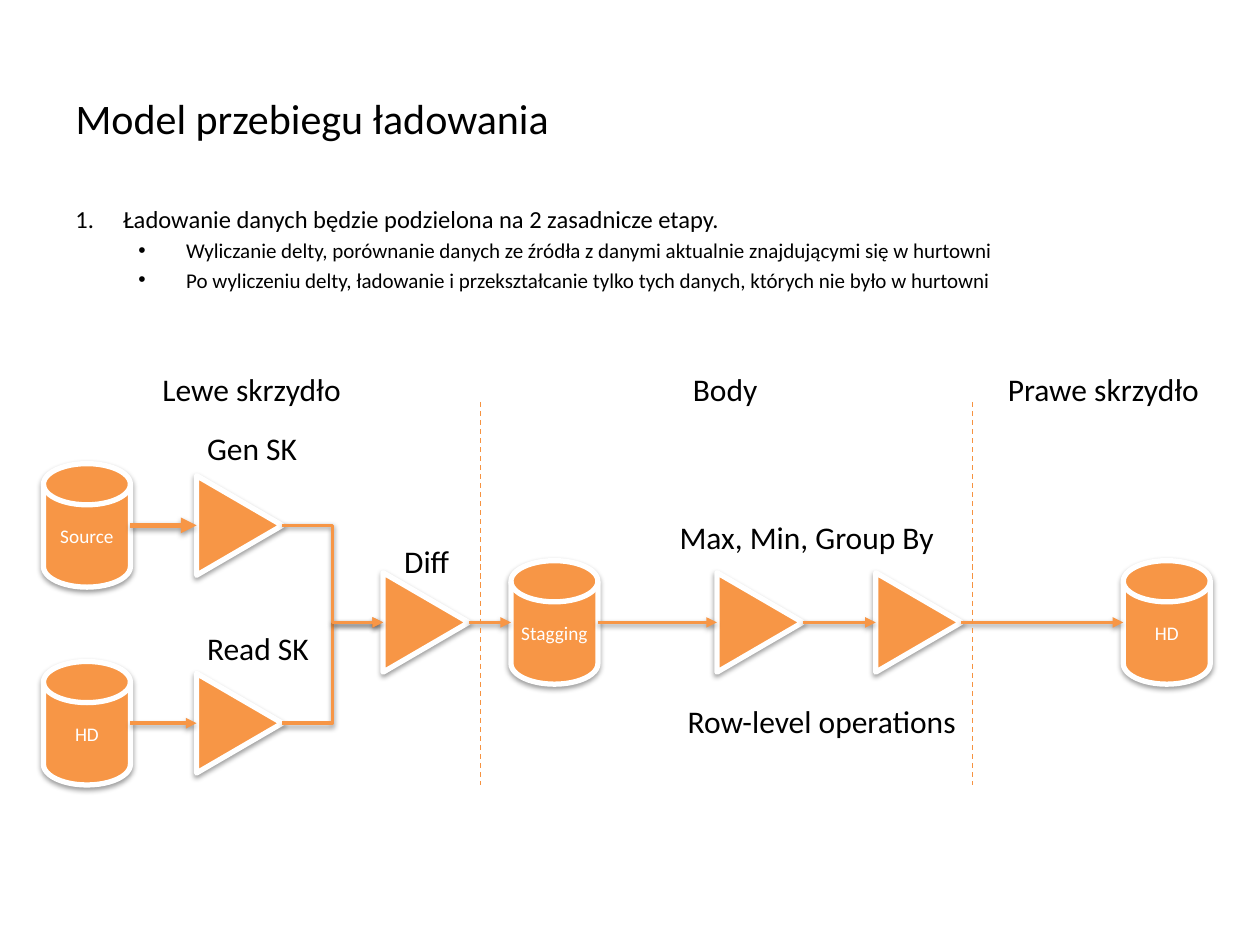
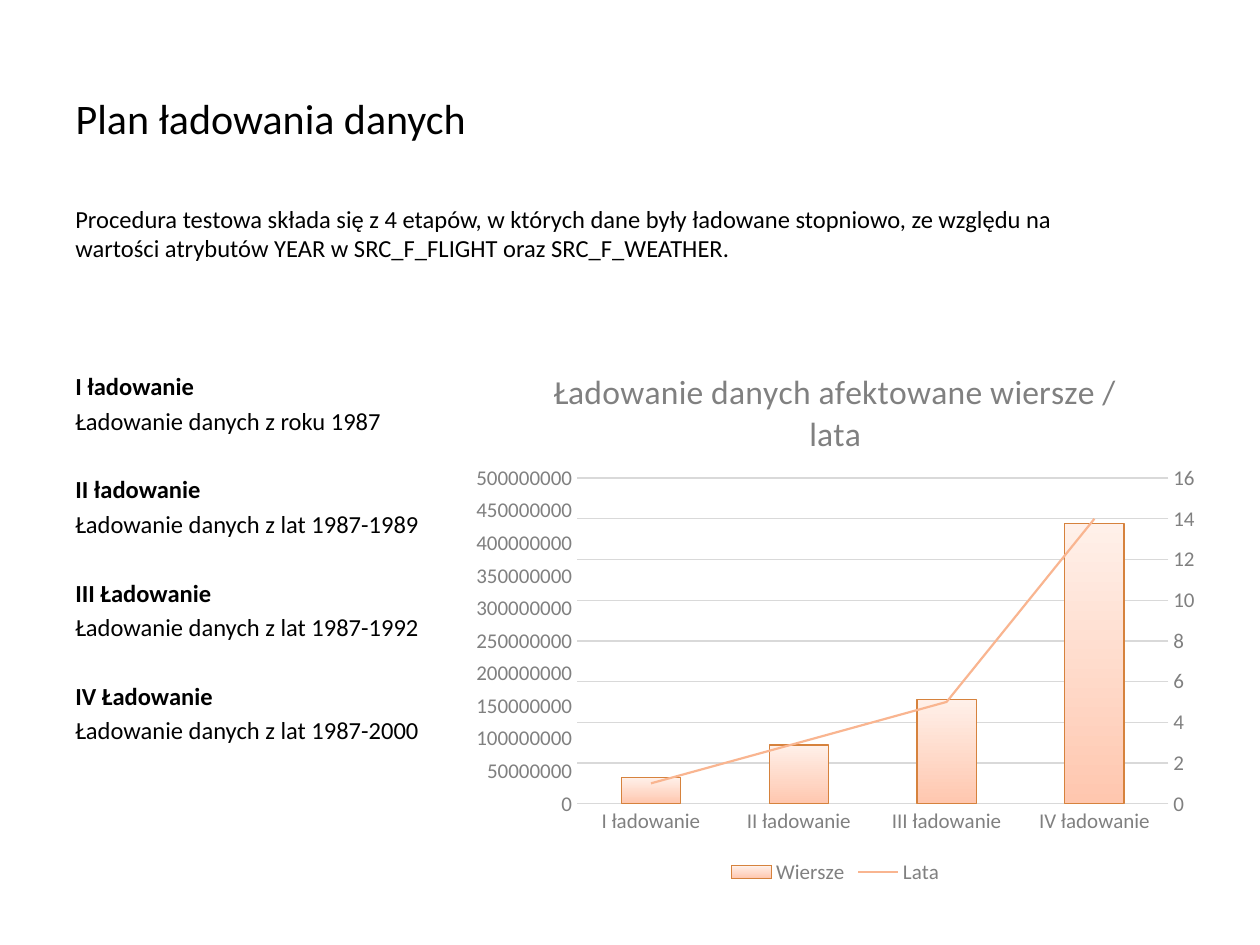
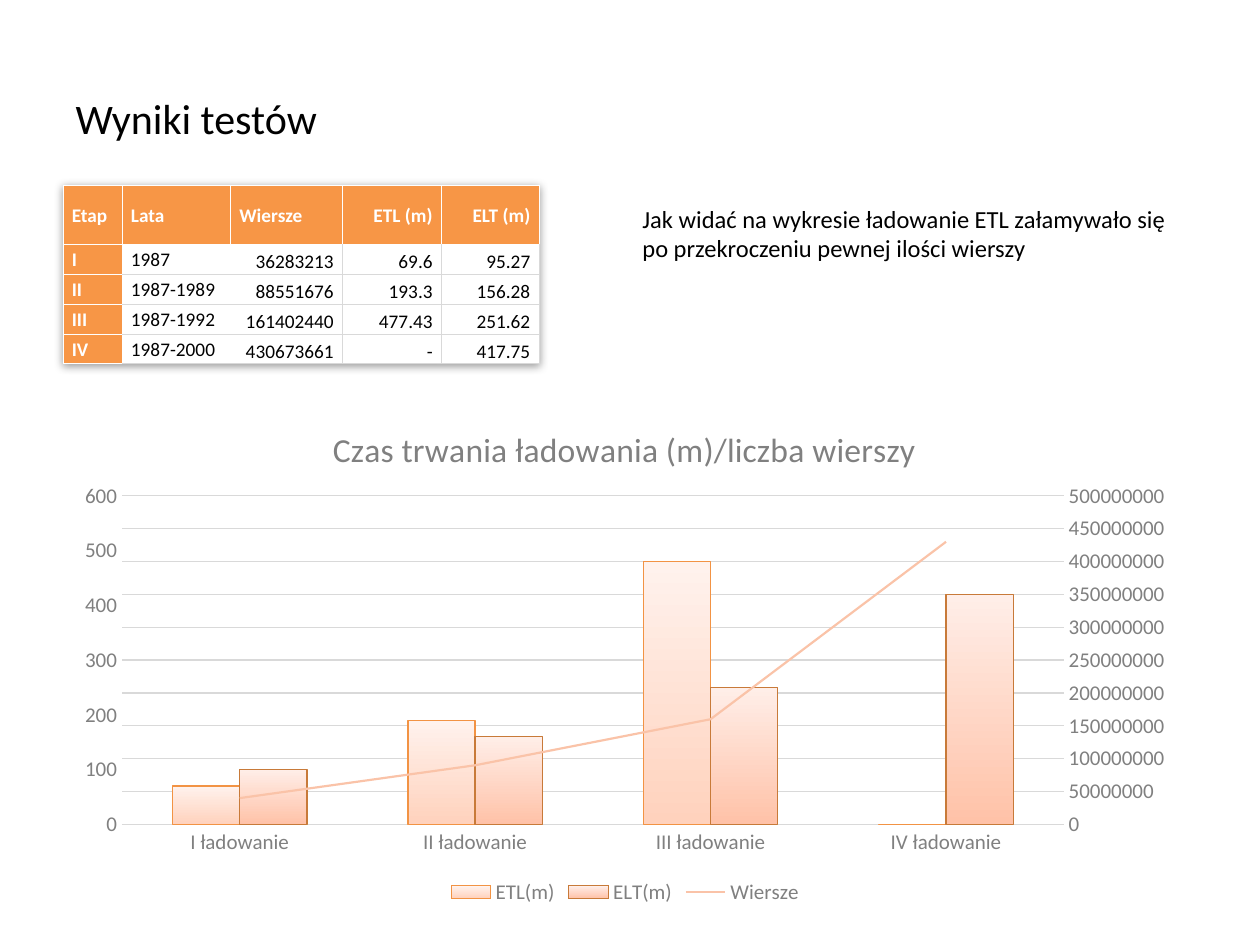
from copy import deepcopy
from dataclasses import dataclass

from pptx import Presentation
from pptx.chart.axis import CategoryAxis, ValueAxis
from pptx.chart.data import CategoryChartData
from pptx.dml.color import RGBColor
from pptx.enum.chart import XL_CHART_TYPE, XL_LEGEND_POSITION, XL_MARKER_STYLE, XL_TICK_MARK
from pptx.enum.dml import MSO_LINE
from pptx.enum.shapes import MSO_CONNECTOR, MSO_SHAPE
from pptx.enum.text import MSO_ANCHOR, PP_ALIGN
from pptx.oxml import parse_xml
from pptx.oxml.ns import nsdecls, qn
from pptx.util import Inches, Pt


@dataclass(frozen=True)
class Theme:
    font: str = "Calibri"
    ink: str = "000000"
    paper: str = "FFFFFF"
    accent: str = "F79646"
    divider: str = "F69240"
    muted: str = "808080"
    rule: str = "D9D9D9"
    title: int = 24
    chart_title: float = 19.2
    label: int = 18
    body: int = 14
    detail: int = 12
    small: int = 11
    paragraph_gap: float = 0.2


THEME = Theme()
CELL = 0.1
TITLE_BOX = (5, 3, 59.2, 12.7)
BODY_LEFT, BODY_TOP, BODY_WIDTH = 5, 15.7, 83.6
UPPER, MIDDLE, LOWER = 41.7, 49.4, 57.4
DISK_WIDTH, DISK_HEIGHT = 6.9, 9.8
STEP_DEPTH, STEP_SPAN = 6.8, 7.9

RESULTS = [
    ("I", "1987", "36283213", "69.6", "95.27"),
    ("II", "1987-1989", "88551676", "193.3", "156.28"),
    ("III", "1987-1992", "161402440", "477.43", "251.62"),
    ("IV", "1987-2000", "430673661", "-", "417.75"),
]
STAGES = [f"{result[0]} ładowanie" for result in RESULTS]
ROW_COUNTS = (40_000_000, 90_000_000, 160_000_000, 430_000_000)
YEAR_COUNTS = (1, 3, 5, 14)
ETL_MINUTES = (70, 190, 480, 0)
ELT_MINUTES = (100, 160, 250, 420)


def cells(count):
    return Inches(count * CELL)


def box(*lengths):
    return [cells(length) for length in lengths]


def rgb(code):
    return RGBColor.from_string(code)


def style_font(font, size, color, bold=False):
    font.name, font.size, font.bold = THEME.font, Pt(size), bold
    font.color.rgb = rgb(color)


def write(frame, text, size=THEME.body, color=THEME.ink, bold=False, align=PP_ALIGN.LEFT,
          before=0, spacing=None, bullet=None, level=0):
    paragraph = frame.paragraphs[0]
    if paragraph.runs:
        paragraph = frame.add_paragraph()
    paragraph.alignment, paragraph.space_before, paragraph.level = align, Pt(before), level
    if spacing:
        paragraph.line_spacing = spacing
    run = paragraph.add_run()
    run.text = text
    style_font(run.font, size, color, bold)
    if bullet:
        properties = paragraph._p.get_or_add_pPr()
        properties.set("marL", str(Inches(0.38 + level * 0.5)))
        properties.set("indent", str(-Inches(0.38)))
        for mark in ('<a:buFont %s typeface="Arial"/>', bullet):
            properties.append(parse_xml(mark % nsdecls("a")))


def titled_slide(deck, title):
    slide = deck.slides.add_slide(deck.slide_layouts[5])
    heading = slide.shapes.title
    heading.left, heading.top, heading.width, heading.height = box(*TITLE_BOX)
    heading.text_frame.vertical_anchor = MSO_ANCHOR.MIDDLE
    write(heading.text_frame, title, size=THEME.title)
    return slide


def text_area(slide, *place, wrap=True):
    frame = slide.shapes.add_textbox(*box(*place)).text_frame
    frame.word_wrap = wrap
    return frame


def label(slide, text, left, top, width):
    write(text_area(slide, left, top, width, 4, wrap=False), text, size=THEME.label)


def shadow_effect(blur=3.1, distance=1.6):
    return parse_xml(
        f'<a:effectLst {nsdecls("a")}><a:outerShdw blurRad="{Pt(blur)}" dist="{Pt(distance)}" '
        'dir="5400000" rotWithShape="0"><a:srgbClr val="000000"><a:alpha val="38000"/></a:srgbClr>'
        '</a:outerShdw></a:effectLst>')


def cast_shadow(shape):
    properties = shape._element.spPr
    for effects in properties.findall(qn("a:effectLst")):
        properties.remove(effects)
    properties.append(shadow_effect())


def node(slide, preset, center, middle, width, height, rotation=0):
    shape = slide.shapes.add_shape(
        preset, *box(center - width / 2, middle - height / 2, width, height))
    shape.rotation = rotation
    shape.shadow.inherit = False
    shape.fill.solid()
    shape.fill.fore_color.rgb = rgb(THEME.accent)
    shape.line.color.rgb = rgb(THEME.paper)
    shape.line.width = Pt(3)
    cast_shadow(shape)
    return shape


def store(slide, name, center, middle):
    frame = node(slide, MSO_SHAPE.FLOWCHART_MAGNETIC_DISK, center, middle,
                 DISK_WIDTH, DISK_HEIGHT).text_frame
    frame.margin_left = frame.margin_right = Inches(0.08)
    frame.vertical_anchor = MSO_ANCHOR.MIDDLE
    write(frame, name, size=THEME.small, color=THEME.paper, align=PP_ALIGN.CENTER)
    return center - DISK_WIDTH / 2, center + DISK_WIDTH / 2, middle


def step(slide, center, middle):
    node(slide, MSO_SHAPE.ISOSCELES_TRIANGLE, center, middle, STEP_SPAN, STEP_DEPTH, rotation=90)
    return center - STEP_DEPTH / 2, center + STEP_DEPTH / 2, middle


def flow(slide, source, target, weight=2):
    arrow = slide.shapes.add_connector(
        MSO_CONNECTOR.ELBOW, *box(source[1], source[2], target[0], target[2]))
    rule_line(arrow.line, THEME.accent, weight)
    arrow.line._get_or_add_ln().append(parse_xml(f'<a:tailEnd {nsdecls("a")} type="triangle"/>'))
    cast_shadow(arrow)


def wing_divider(slide, position):
    divider = slide.shapes.add_connector(
        MSO_CONNECTOR.STRAIGHT, *box(position, 31.9, position, 62.3))
    rule_line(divider.line, THEME.divider)
    divider.line.dash_style = MSO_LINE.DASH
    divider._element.spPr.append(parse_xml(f'<a:effectLst {nsdecls("a")}/>'))


def border(cell, side, color):
    cell._tc.get_or_add_tcPr().append(parse_xml(
        f'<a:ln{side} {nsdecls("a")} w="{Pt(0.25)}"><a:solidFill><a:srgbClr val="{color}"/>'
        f'</a:solidFill></a:ln{side}>'))


def results_table(slide):
    rows = [("Etap", "Lata", "Wiersze", "ETL (m)", "ELT (m)")] + RESULTS
    widths, heights = (4.7, 8.6, 8.9, 7.85, 7.75), (4.7, 2.37, 2.37, 2.37, 2.37)
    table = slide.shapes.add_table(
        len(rows), len(widths), *box(5, 14.7, sum(widths), sum(heights))).table
    table.horz_banding = False
    table._tbl.tblPr.insert(0, shadow_effect(blur=5, distance=1))
    for column, width in zip(table.columns, widths):
        column.width = cells(width)
    for row, height in zip(table.rows, heights):
        row.height = cells(height)
    for r, values in enumerate(rows):
        for c, value in enumerate(values):
            cell = table.cell(r, c)
            inside = r > 0 and c > 0
            numeric = c > 2 or (c == 2 and r > 0)
            cell.margin_left = cell.margin_right = Inches(0.07)
            cell.margin_top = cell.margin_bottom = 0
            cell.vertical_anchor = MSO_ANCHOR.BOTTOM if inside and c > 1 else MSO_ANCHOR.MIDDLE
            write(cell.text_frame, value, size=THEME.small, bold=not inside, spacing=1.07,
                  color=THEME.ink if inside else THEME.paper,
                  align=PP_ALIGN.RIGHT if numeric else PP_ALIGN.LEFT)
            for side, ruled in (("L", c > 2), ("R", c > 1), ("T", r > 1), ("B", True)):
                border(cell, side, THEME.rule if inside and ruled else THEME.paper)
            cell.fill.solid()
            cell.fill.fore_color.rgb = rgb(THEME.paper if inside else THEME.accent)


def scale(axis, limit, unit):
    axis.minimum_scale, axis.maximum_scale, axis.major_unit = 0, limit, unit


def rule_line(line, color, weight=0.75):
    line.color.rgb = rgb(color)
    line.width = Pt(weight)


def move_last_series_to_right_axis(chart):
    bars = chart.plots[0]._element
    category, value = chart.category_axis._element, chart.value_axis._element
    right_category, right_value = deepcopy(category), deepcopy(value)
    for axis, own, other in ((right_category, "5001", "5002"), (right_value, "5002", "5001")):
        axis.find(qn("c:axId")).set("val", own)
        axis.find(qn("c:crossAx")).set("val", other)
    right_value.find(qn("c:axPos")).set("val", "r")
    right_value.find(qn("c:crosses")).set("val", "max")
    category.addprevious(right_category)
    category.addprevious(right_value)
    CategoryAxis(category).visible = False
    line_plot = parse_xml(
        f'<c:lineChart {nsdecls("c")}><c:grouping val="standard"/><c:varyColors val="0"/>'
        '<c:marker val="1"/><c:axId val="5001"/><c:axId val="5002"/></c:lineChart>')
    series = bars.findall(qn("c:ser"))[-1]
    for flag in series.findall(qn("c:invertIfNegative")):
        series.remove(flag)
    line_plot.insert(2, series)
    bars.addnext(line_plot)
    return ValueAxis(right_value)


def place_plot(chart, percentages):
    area = chart._chartSpace.chart.plotArea
    for layout in area.findall(qn("c:layout")):
        area.remove(layout)
    sizes = "".join(f'<c:{key} val="{percentage / 100}"/>'
                    for key, percentage in zip("xywh", percentages))
    area.insert(0, parse_xml(
        f'<c:layout {nsdecls("c")}><c:manualLayout><c:layoutTarget val="inner"/>'
        f'<c:xMode val="edge"/><c:yMode val="edge"/>{sizes}</c:manualLayout></c:layout>'))


def load_chart(slide, place, title, bars, trend, left_scale, right_scale, plot_percentages):
    data = CategoryChartData(number_format="0")
    data.categories = STAGES
    for name, values, *_ in bars + [trend]:
        data.add_series(name, values)
    chart = slide.shapes.add_chart(XL_CHART_TYPE.COLUMN_CLUSTERED, *box(*place), data).chart
    style_font(chart.font, THEME.detail, THEME.muted)
    chart.has_title = True
    write(chart.chart_title.text_frame, title, size=THEME.chart_title, color=THEME.muted,
          align=PP_ALIGN.CENTER)
    chart.has_legend = True
    chart.legend.position = XL_LEGEND_POSITION.BOTTOM
    chart.legend.include_in_layout = False
    style_font(chart.legend.font, THEME.detail, THEME.muted)

    left_axis = chart.value_axis
    for axis in (chart.category_axis, left_axis):
        axis.major_tick_mark = axis.minor_tick_mark = XL_TICK_MARK.NONE
        axis.has_major_gridlines = False
        style_font(axis.tick_labels.font, THEME.detail, THEME.muted)
    rule_line(chart.category_axis.format.line, THEME.rule)
    left_axis.format.line.fill.background()
    right_axis = move_last_series_to_right_axis(chart)
    scale(left_axis, *left_scale)
    scale(right_axis, *right_scale)
    right_axis.has_major_gridlines = True
    rule_line(right_axis.major_gridlines.format.line, THEME.rule)

    columns, trend_plot = chart.plots
    columns.gap_width, columns.overlap, columns.vary_by_categories = 150, 0, False
    for series, (_, _, bottom, top, outline) in zip(columns.series, bars):
        fill = series.format.fill
        fill.gradient()
        fill.gradient_angle = 90
        for stop, color in zip(fill.gradient_stops, (bottom, top)):
            stop.color.rgb = rgb(color)
        rule_line(series.format.line, outline)
    trend_line = trend_plot.series[0]
    trend_line.smooth = False
    trend_line.marker.style = XL_MARKER_STYLE.NONE
    rule_line(trend_line.format.line, trend[2], 1.25)
    place_plot(chart, plot_percentages)


def loading_model(deck):
    slide = titled_slide(deck, "Model przebiegu ładowania")
    outline = text_area(slide, BODY_LEFT, BODY_TOP, BODY_WIDTH, 10.9)
    write(outline, "Ładowanie danych będzie podzielona na 2 zasadnicze etapy.",
          bullet='<a:buAutoNum %s type="arabicPeriod"/>')
    for detail in (
        "Wyliczanie delty, porównanie danych ze źródła z danymi aktualnie znajdującymi się w hurtowni",
        "Po wyliczeniu delty, ładowanie i przekształcanie tylko tych danych, których nie było w hurtowni",
    ):
        write(outline, detail, size=THEME.detail, before=THEME.detail * THEME.paragraph_gap,
              level=1, bullet='<a:buChar %s char="•"/>')

    source = store(slide, "Source", 6.9, UPPER)
    warehouse = store(slide, "HD", 6.9, LOWER)
    staging = store(slide, "Stagging", 44, MIDDLE)
    target = store(slide, "HD", 92.6, MIDDLE)
    generate, read = step(slide, 19, UPPER), step(slide, 19, LOWER)
    difference, aggregate, transform = [step(slide, center, MIDDLE) for center in (33.8, 60.3, 72.9)]
    flow(slide, source, generate, weight=3)
    for start, end in (
        (warehouse, read), (read, difference), (generate, difference), (difference, staging),
        (staging, aggregate), (aggregate, transform), (transform, target),
    ):
        flow(slide, start, end)

    for text, left, top, width in (
        ("Gen SK", 15.45, 33.6, 9.3),
        ("Read SK", 15.45, 49.4, 10.2),
        ("Diff", 31.1, 42.5, 5.7),
        ("Max, Min, Group By", 52.95, 40.6, 22.4),
        ("Row-level operations", 53.6, 55.25, 23.6),
        ("Lewe skrzydło", 11.9, 28.85, 16.3),
        ("Body", 54, 28.85, 7.2),
        ("Prawe skrzydło", 79, 28.85, 17.3),
    ):
        label(slide, text, left, top, width)
    for position in (38.15, 77.2):
        wing_divider(slide, position)


def loading_plan(deck):
    slide = titled_slide(deck, "Plan ładowania danych")
    plan = text_area(slide, BODY_LEFT, BODY_TOP, BODY_WIDTH, 53.3)
    write(plan, "Procedura testowa składa się z 4 etapów, w których dane były ładowane stopniowo, "
                "ze względu na wartości atrybutów YEAR w SRC_F_FLIGHT oraz SRC_F_WEATHER.")
    for stage, scope, gap in (
        ("I ładowanie", "roku 1987", 62),
        ("II ładowanie", "lat 1987-1989", 22.5),
        ("III Ładowanie", "lat 1987-1992", 22.5),
        ("IV Ładowanie", "lat 1987-2000", 22.5),
    ):
        write(plan, stage, bold=True, before=gap)
        write(plan, f"Ładowanie danych z {scope}", before=THEME.body * THEME.paragraph_gap)
    load_chart(
        slide, (36.6, 27.3, 59.4, 43.3), "Ładowanie danych afektowane wiersze / lata",
        bars=[("Wiersze", ROW_COUNTS, "FFC7AF", "FFF0E9", "D6823D")],
        trend=("Lata", YEAR_COUNTS, "F9B590"),
        left_scale=(500_000_000, 50_000_000), right_scale=(16, 2),
        plot_percentages=(15.5, 24.6, 79, 59.7))


def test_results(deck):
    slide = titled_slide(deck, "Wyniki testów")
    write(text_area(slide, 50, BODY_TOP, 44.1, 14.7),
          "Jak widać na wykresie ładowanie ETL załamywało się po przekroczeniu pewnej ilości wierszy")
    results_table(slide)
    load_chart(
        slide, (5, 32, 89.2, 40.2), "Czas trwania ładowania (m)/liczba wierszy",
        bars=[("ETL(m)", ETL_MINUTES, "FFD2BD", "FFF2ED", "F29344"),
              ("ELT(m)", ELT_MINUTES, "FFC2A8", "FFEEE8", "C87A39")],
        trend=("Wiersze", ROW_COUNTS, "FAC3A8"),
        left_scale=(600, 100), right_scale=(500_000_000, 50_000_000),
        plot_percentages=(5.25, 18.3, 83.8, 64.9))


def main():
    deck = Presentation()
    deck.slide_width, deck.slide_height = box(100, 75)
    loading_model(deck)
    loading_plan(deck)
    test_results(deck)
    deck.save("out.pptx")


if __name__ == "__main__":
    main()
